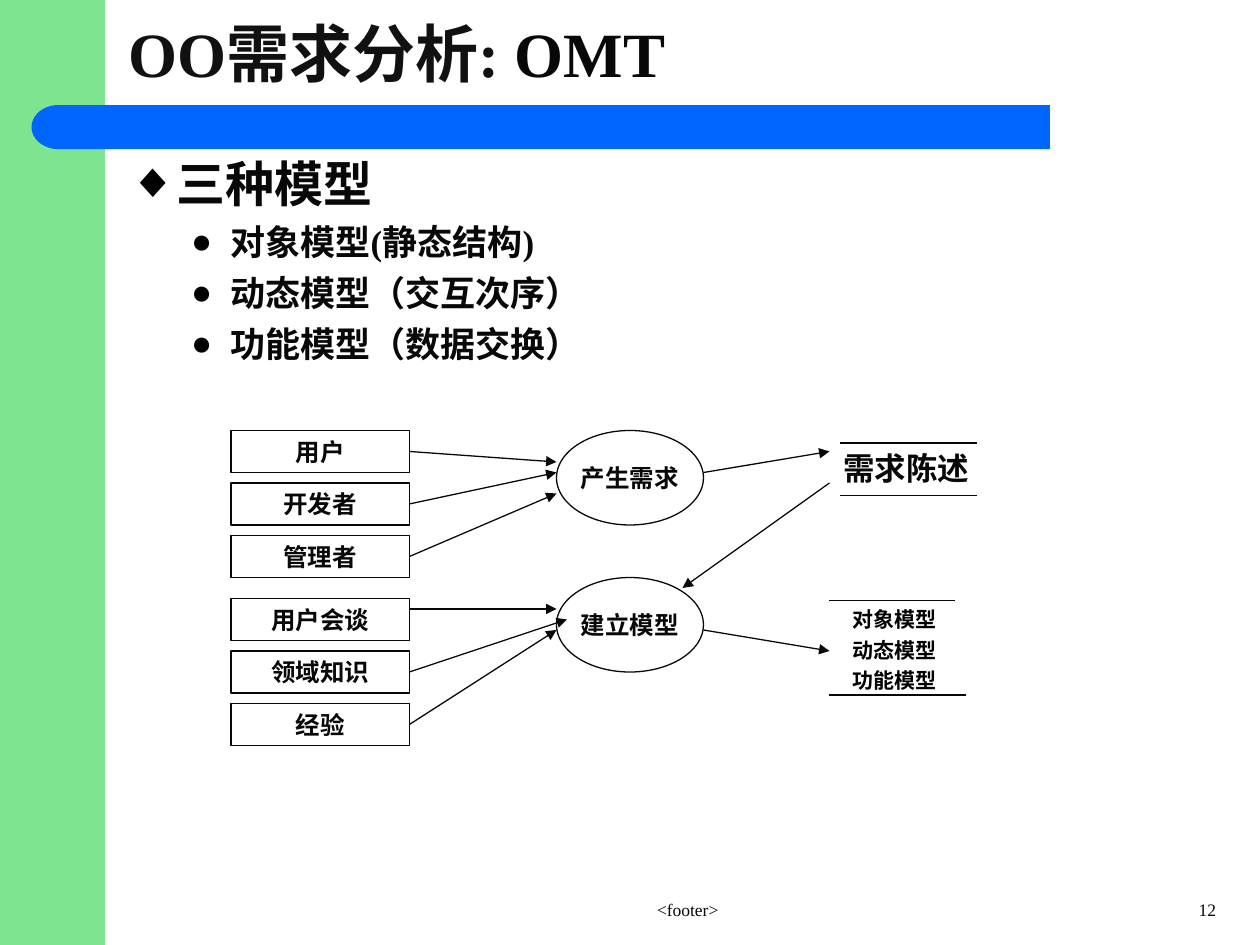
from dataclasses import dataclass

from lxml import etree
from pptx import Presentation
from pptx.dml.color import RGBColor
from pptx.enum.shapes import MSO_CONNECTOR, MSO_SHAPE
from pptx.enum.text import MSO_ANCHOR, MSO_AUTO_SIZE, PP_ALIGN
from pptx.oxml.ns import qn
from pptx.util import Cm, Pt

RECTANGLE, ELLIPSE = MSO_SHAPE.RECTANGLE, MSO_SHAPE.OVAL
DELAY = MSO_SHAPE.FLOWCHART_DELAY
STRAIGHT = MSO_CONNECTOR.STRAIGHT
LEFT, CENTER, RIGHT = PP_ALIGN.LEFT, PP_ALIGN.CENTER, PP_ALIGN.RIGHT
TOP, MIDDLE = MSO_ANCHOR.TOP, MSO_ANCHOR.MIDDLE


@dataclass(frozen=True)
class Theme:
    green: str = "7EE48F"
    blue: str = "0066FF"
    white: str = "FFFFFF"
    black: str = "000000"
    ink: str = "080808"
    title_ink: str = "111111"
    serif: str = "Times New Roman"
    sans: str = "Arial"
    chinese: str = "Noto Sans CJK SC"
    title_size: int = 36
    heading_size: int = 28
    item_size: int = 20
    store_size: int = 18
    node_size: int = 14
    model_size: int = 12
    footer_size: int = 10
    line_width: float = 0.75


THEME = Theme()


def grid(units):
    """Length of layout units; the slide is 120 by 90 units."""
    return Cm(units * 25.4 / 120)


def place(shape, left, top, width, height):
    shape.left, shape.top = grid(left), grid(top)
    shape.width, shape.height = grid(width), grid(height)


def format_paragraph(paragraph, size, font=THEME.serif, color=THEME.ink,
                     bold=True, align=LEFT, before=0):
    paragraph.alignment = align
    paragraph.space_before = Pt(before)
    paragraph.font.size = Pt(size)
    paragraph.font.name = font
    paragraph.font.bold = bold
    paragraph.font.color.rgb = RGBColor.from_string(color)


def set_bullet(paragraph, character, margin, hanging):
    properties = paragraph._p.get_or_add_pPr()
    properties.set("marL", str(Cm(margin)))
    properties.set("indent", str(-Cm(hanging)))
    color = etree.SubElement(properties, qn("a:buClr"))
    etree.SubElement(color, qn("a:srgbClr"), val=THEME.black)
    etree.SubElement(properties, qn("a:buChar"), char=character)


def add_block(slide, kind, box, fill, outlined=False):
    shape = slide.shapes.add_shape(kind, *map(grid, box))
    shape.shadow.inherit = False
    shape.fill.solid()
    shape.fill.fore_color.rgb = RGBColor.from_string(fill)
    if outlined:
        shape.line.color.rgb = RGBColor.from_string(THEME.ink)
        shape.line.width = Pt(THEME.line_width)
    else:
        shape.line.fill.background()
    return shape


def add_node(slide, kind, box, text):
    frame = add_block(slide, kind, box, THEME.white, outlined=True).text_frame
    frame.word_wrap = False
    frame.vertical_anchor = MIDDLE
    frame.text = text
    format_paragraph(frame.paragraphs[0], THEME.node_size, align=CENTER)


def add_text(slide, box, lines, size, wrap=True, **style):
    frame = slide.shapes.add_textbox(*map(grid, box)).text_frame
    frame.word_wrap = wrap
    frame.text = "\n".join(lines)
    for paragraph in frame.paragraphs:
        format_paragraph(paragraph, size, **style)


def add_line(slide, start, end, arrow=False):
    connector = slide.shapes.add_connector(STRAIGHT, *map(grid, start + end))
    connector.line.color.rgb = RGBColor.from_string(THEME.ink)
    connector.line.width = Pt(THEME.line_width)
    if arrow:
        etree.SubElement(connector.line._get_or_add_ln(), qn("a:tailEnd"),
                         type="triangle")
    etree.SubElement(connector._element.spPr, qn("a:effectLst"))


def add_background(slide):
    add_block(slide, RECTANGLE, (0, 0, 10, 90), THEME.green)
    add_block(slide, RECTANGLE, (8, 10, 92, 4.2), THEME.blue)
    add_block(slide, DELAY, (3, 10, 5.1, 4.2), THEME.blue).rotation = 180


def fill_title(slide):
    title = slide.shapes.title
    place(title, 11, 0, 104, 10)
    frame = title.text_frame
    frame.auto_size = MSO_AUTO_SIZE.NONE
    frame.vertical_anchor = MIDDLE
    paragraph = frame.paragraphs[0]
    format_paragraph(paragraph, THEME.title_size)
    for text, color in (("OO需求分析: ", THEME.title_ink), ("OMT", THEME.ink)):
        run = paragraph.add_run()
        run.text = text
        run.font.color.rgb = RGBColor.from_string(color)


def fill_body(slide):
    body = slide.placeholders[1]
    place(body, 11, 14, 107, 69)
    frame = body.text_frame
    frame.auto_size = MSO_AUTO_SIZE.NONE
    frame.vertical_anchor = TOP
    frame.text = "\n".join(("三种模型", "对象模型(静态结构)",
                            "动态模型（交互次序）", "功能模型（数据交换）"))
    heading, *items = frame.paragraphs
    format_paragraph(heading, THEME.heading_size, before=7)
    set_bullet(heading, "◆", 0.95, 0.95)
    for item in items:
        item.level = 1
        format_paragraph(item, THEME.item_size, before=5)
        set_bullet(item, "●", 2.06, 0.79)


def add_diagram(slide):
    # Sources on the left, in two groups of three
    groups = ((41, ("用户", "开发者", "管理者")),
              (57, ("用户会谈", "领域知识", "经验")))
    for top, names in groups:
        for row, name in enumerate(names):
            add_node(slide, RECTANGLE, (22, top + 5 * row, 17, 4), name)

    # Processes
    for top, name in ((41, "产生需求"), (55, "建立模型")):
        add_node(slide, ELLIPSE, (53, top, 14, 9), name)

    # Flows
    flows = (
        ((39, 43), (53, 44)), ((39, 48), (53, 45)), ((39, 53), (53, 47)),
        ((39, 58), (53, 58)), ((39, 64), (54, 59)), ((39, 69), (53, 60)),
        ((67, 45), (79, 43)), ((79, 46), (65, 56)), ((67, 60), (79, 62)),
    )
    for start, end in flows:
        add_line(slide, start, end, arrow=True)

    # Data stores between two rules
    add_text(slide, (79.1, 42.2, 14.4, 4.8), ["需求陈述"], THEME.store_size,
             wrap=False, font=THEME.sans, align=CENTER)
    add_text(slide, (80, 57.2, 13, 9.5), ["对象模型", "动态模型", "功能模型"],
             THEME.model_size, font=THEME.chinese, color=THEME.black, before=3)
    for left, right, y in ((80, 93, 42.2), (80, 93, 47.2),
                           (79, 91, 57.2), (79, 92, 66.2)):
        add_line(slide, (left, y), (right, y))


def add_footer(slide):
    add_text(slide, (45, 85, 41, 3), ["<footer>"], THEME.footer_size,
             bold=False, align=CENTER)
    add_text(slide, (108, 85, 9, 3), ["12"], THEME.footer_size,
             bold=False, align=RIGHT)


def main():
    presentation = Presentation()
    presentation.slide_width, presentation.slide_height = grid(120), grid(90)
    slide = presentation.slides.add_slide(presentation.slide_layouts[1])
    add_background(slide)
    fill_title(slide)
    fill_body(slide)
    add_diagram(slide)
    add_footer(slide)
    presentation.save("out.pptx")


if __name__ == "__main__":
    main()
